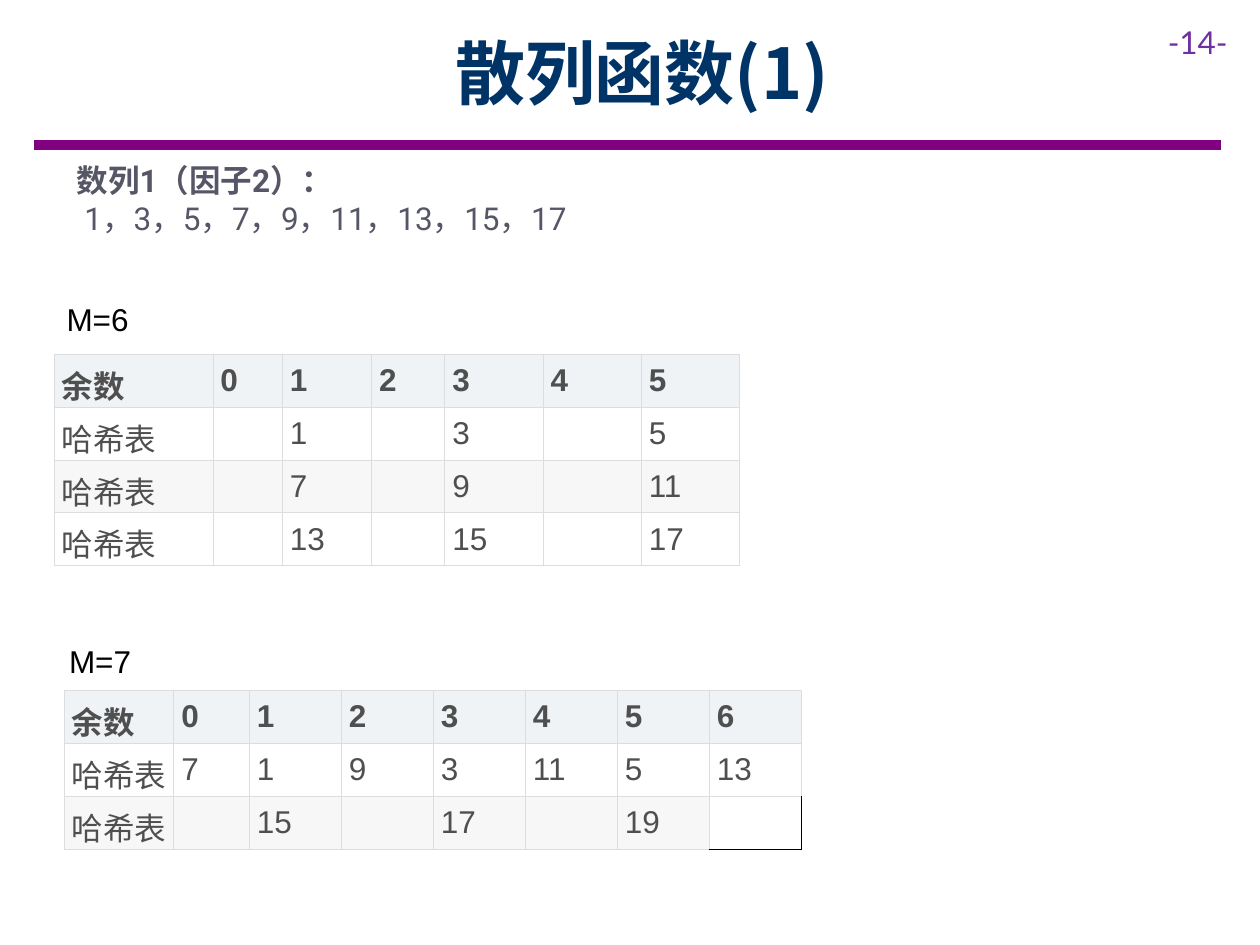
from dataclasses import dataclass

import pptx
import pptx.dml.color
import pptx.enum.shapes
import pptx.enum.text
import pptx.oxml
import pptx.oxml.ns
import pptx.util
from pptx.util import Inches

ROW_HEIGHT = 0.41
CELL_MARGIN = 0.06
HEADER_FILL = "EFF3F5"
BAND_FILLS = ("FFFFFF", "F7F7F7")
GRID_COLOR = "DDDDDD"
CELL_TEXT = "4F4F4F"


@dataclass
class Run:
    text: str
    font: str
    color: str
    size: int = 18
    bold: bool = False


@dataclass
class HashTable:
    divisor: int
    left: float
    top: float
    label_left: float
    label_top: float
    widths: list[float]
    buckets: list[list[str]]
    open_corner: bool = False


HASH_TABLES = [
    HashTable(6, 0.43, 2.81, 0.43, 2.33,
              [1.26, 0.55, 0.71, 0.58, 0.78, 0.78, 0.78],
              [["", "1", "", "3", "", "5"],
               ["", "7", "", "9", "", "11"],
               ["", "13", "", "15", "", "17"]]),
    HashTable(7, 0.51, 5.48, 0.45, 5.05,
              [0.87, 0.6] + [0.73] * 6,
              [["7", "1", "9", "3", "11", "5", "13"],
               ["", "15", "", "17", "", "19", ""]],
              open_corner=True),
]


def rgb(color: str) -> pptx.dml.color.RGBColor:
    return pptx.dml.color.RGBColor.from_string(color)


def add_run(paragraph, content: Run) -> None:
    run = paragraph.add_run()
    run.text = content.text
    run.font.name = content.font
    run.font.size = pptx.util.Pt(content.size)
    run.font.bold = content.bold
    run.font.color.rgb = rgb(content.color)


def add_text(slide, left: float, top: float, width: float, height: float,
             lines: list[Run], wrap: bool = True):
    """Add a text box with one paragraph per run and return its frame."""
    box = slide.shapes.add_textbox(
        Inches(left), Inches(top), Inches(width), Inches(height))
    frame = box.text_frame
    frame.word_wrap = wrap
    for index, line in enumerate(lines):
        paragraph = frame.add_paragraph() if index else frame.paragraphs[0]
        add_run(paragraph, line)
    return frame


def add_title(slide) -> None:
    frame = add_text(slide, 0.94, 0.07, 8.31, 1, [
        Run("散列函数(1)", "Noto Sans CJK SC", "003366", 40, True)])
    frame.vertical_anchor = pptx.enum.text.MSO_ANCHOR.MIDDLE
    paragraph = frame.paragraphs[0]
    paragraph.alignment = pptx.enum.text.PP_ALIGN.CENTER
    properties = paragraph.runs[0].font._element
    east_asian = pptx.oxml.parse_xml(
        f'<a:ea {pptx.oxml.ns.nsdecls("a")} typeface="Noto Sans CJK SC"/>')
    properties.append(east_asian)


def add_rule(slide) -> None:
    rule = slide.shapes.add_connector(
        pptx.enum.shapes.MSO_CONNECTOR.STRAIGHT,
        Inches(0.27), Inches(1.15), Inches(9.69), Inches(1.15))
    rule.line.color.rgb = rgb("800080")
    rule.line.width = pptx.util.Pt(6)
    rule._element.spPr.append(pptx.oxml.parse_xml(
        f'<a:effectLst {pptx.oxml.ns.nsdecls("a")}/>'))


def set_borders(cell, outer_color: str) -> None:
    """Draw left and top in the grid colour, right and bottom in outer_color."""
    properties = cell._tc.get_or_add_tcPr()
    sides = {"lnL": GRID_COLOR, "lnR": outer_color,
             "lnT": GRID_COLOR, "lnB": outer_color}
    for side, color in sides.items():
        properties.append(pptx.oxml.parse_xml(
            f'<a:{side} {pptx.oxml.ns.nsdecls("a")} w="6350"><a:solidFill>'
            f'<a:srgbClr val="{color}"/></a:solidFill></a:{side}>'))


def fill_cell(cell, text: str, fill: str | None, bold: bool) -> None:
    """Write one cell; without a fill it is left open with black outer edges."""
    set_borders(cell, GRID_COLOR if fill else "000000")
    if fill:
        cell.fill.solid()
        cell.fill.fore_color.rgb = rgb(fill)
    else:
        cell.fill.background()
    cell.margin_left = cell.margin_right = Inches(CELL_MARGIN)
    cell.margin_top = cell.margin_bottom = Inches(CELL_MARGIN)
    cell.vertical_anchor = pptx.enum.text.MSO_ANCHOR.MIDDLE
    if text:
        add_run(cell.text_frame.paragraphs[0],
                Run(text, "Arial", CELL_TEXT, bold=bold))


def add_hash_table(slide, data: HashTable) -> None:
    header = ["余数"] + [str(number) for number in range(data.divisor)]
    rows = [header] + [["哈希表"] + bucket for bucket in data.buckets]
    frame = slide.shapes.add_table(
        len(rows), len(header), Inches(data.left), Inches(data.top),
        Inches(sum(data.widths)), Inches(ROW_HEIGHT * len(rows)))
    table = frame.table
    table.first_row = table.horz_banding = False
    for column, width in zip(table.columns, data.widths):
        column.width = Inches(width)
    for row_index, row in enumerate(rows):
        table.rows[row_index].height = Inches(ROW_HEIGHT)
        is_header = row_index == 0
        row_fill = HEADER_FILL if is_header else BAND_FILLS[(row_index - 1) % 2]
        for column_index, text in enumerate(row):
            is_corner = (row_index, column_index) == (len(rows) - 1, len(row) - 1)
            fill = None if data.open_corner and is_corner else row_fill
            fill_cell(table.cell(row_index, column_index), text, fill, is_header)
    add_text(slide, data.label_left, data.label_top, 0.7, 0.4,
             [Run(f"M={data.divisor}", "Arial", "000000")], wrap=False)


def main() -> None:
    presentation = pptx.Presentation()
    presentation.slide_width = Inches(10)
    presentation.slide_height = Inches(7.5)
    slide = presentation.slides.add_slide(presentation.slide_layouts[6])
    add_rule(slide)
    add_text(slide, 9.17, 0.13, 0.83, 0.4, [Run("-14-", "Lato", "7030A0")])
    add_title(slide)
    add_text(slide, 0.51, 1.23, 5, 0.71, [
        Run("数列1（因子2）：", "Roboto", "555666", bold=True),
        Run(" 1，3，5，7，9，11，13，15，17", "Roboto", "555666")])
    for data in HASH_TABLES:
        add_hash_table(slide, data)
    presentation.save("out.pptx")


if __name__ == "__main__":
    main()
